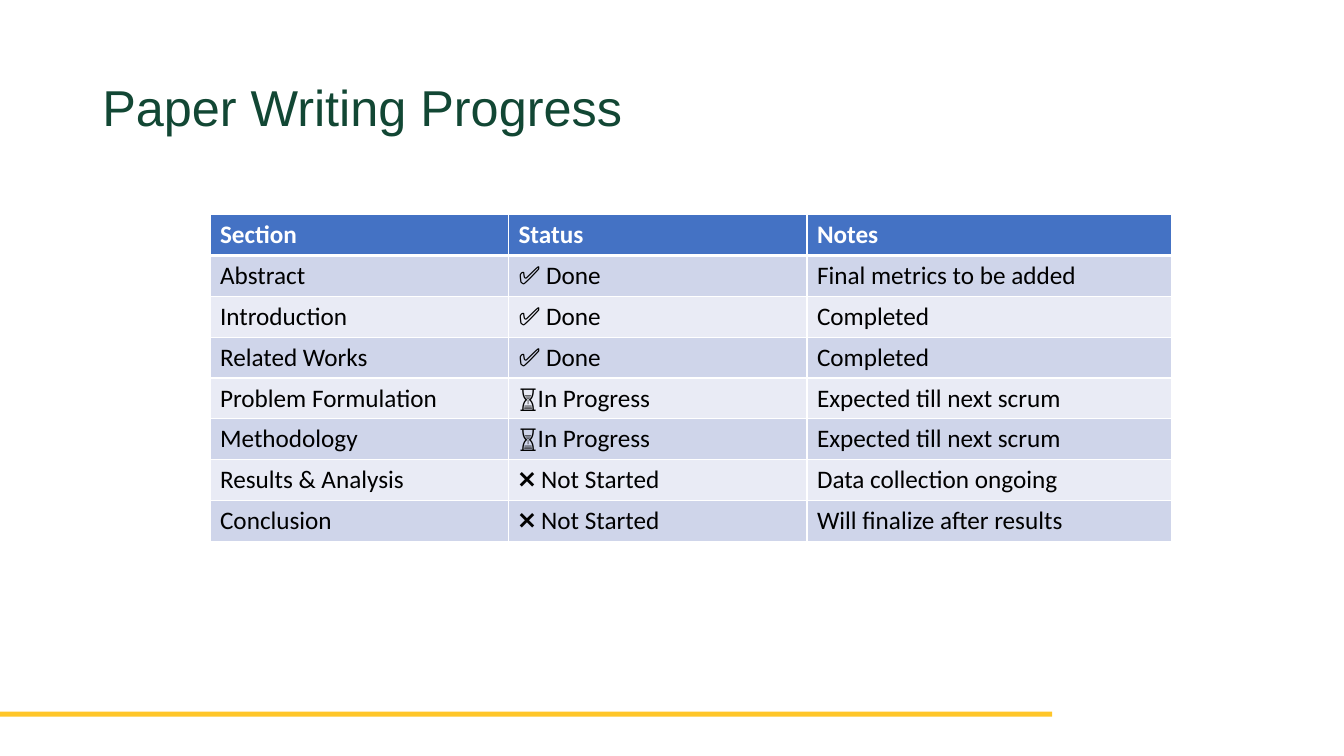
from lxml.etree import SubElement
from pptx import Presentation
from pptx.dml.color import RGBColor
from pptx.enum.shapes import MSO_SHAPE
from pptx.enum.text import MSO_ANCHOR
from pptx.oxml.ns import qn
from pptx.util import Pt

COLORS = {
    "title": "124734",
    "accent": "FFC629",
    "header": "4472C4",
    "odd_row": "CFD5EA",
    "even_row": "E9EBF5",
    "white": "FFFFFF",
    "black": "000000",
}
COLUMN_WIDTHS = [213.2, 213.2, 260.4]
ROW_HEIGHT = 29.2
PROGRESS = [
    ("Section", "Status", "Notes"),
    ("Abstract", "✅ Done", "Final metrics to be added"),
    ("Introduction", "✅ Done", "Completed"),
    ("Related Works", "✅ Done", "Completed"),
    ("Problem Formulation", "⏳In Progress", "Expected till next scrum"),
    ("Methodology", "⏳In Progress", "Expected till next scrum"),
    ("Results & Analysis", "❌ Not Started", "Data collection ongoing"),
    ("Conclusion", "❌ Not Started", "Will finalize after results"),
]


def color(name):
    return RGBColor.from_string(COLORS[name])


def set_font(para, face, size, color_name, bold=False):
    para.font.name = face
    para.font.size = Pt(size)
    para.font.bold = bold
    para.font.color.rgb = color(color_name)


def add_title(page, text):
    box = page.shapes.add_textbox(Pt(66), Pt(55.4), Pt(854.6), Pt(59))
    box.text_frame.word_wrap = True
    para = box.text_frame.paragraphs[0]
    para.text = text
    para.line_spacing = 0.9
    set_font(para, "Arial", 36, "title")


def add_footer_bar(page):
    bar = page.shapes.add_shape(MSO_SHAPE.RECTANGLE, 0, Pt(508.3), Pt(751.5), Pt(3.6))
    bar.shadow.inherit = False
    bar.fill.solid()
    bar.fill.fore_color.rgb = color("accent")
    bar.line.fill.background()


def set_borders(cell, top, bottom):
    properties = cell._tc.get_or_add_tcPr()
    for side, width in (("L", 1), ("R", 1), ("T", top), ("B", bottom)):
        line = SubElement(properties, qn(f"a:ln{side}"), w=str(Pt(width)))
        fill = SubElement(line, qn("a:solidFill"))
        SubElement(fill, qn("a:srgbClr"), val=COLORS["white"])


def fill_cell(cell, text, row):
    is_header = row == 0
    # The rule below the header is thicker than the others
    set_borders(cell, top=3 if row == 1 else 1, bottom=3 if is_header else 1)
    band = "header" if is_header else ("even_row", "odd_row")[row % 2]
    cell.fill.solid()
    cell.fill.fore_color.rgb = color(band)
    cell.vertical_anchor = MSO_ANCHOR.MIDDLE
    para = cell.text_frame.paragraphs[0]
    para.text = text
    set_font(para, "Calibri", 18, "white" if is_header else "black", is_header)


def add_progress_table(page, rows):
    frame = page.shapes.add_table(
        len(rows), len(COLUMN_WIDTHS), Pt(150), Pt(153.2),
        Pt(sum(COLUMN_WIDTHS)), Pt(ROW_HEIGHT * len(rows)))
    table = frame.table
    for column, width in zip(table.columns, COLUMN_WIDTHS):
        column.width = Pt(width)
    for row, texts in enumerate(rows):
        table.rows[row].height = Pt(ROW_HEIGHT)
        for column, text in enumerate(texts):
            fill_cell(table.cell(row, column), text, row)


def main():
    deck = Presentation()
    deck.slide_width, deck.slide_height = Pt(960), Pt(540)
    page = deck.slides.add_slide(deck.slide_layouts[6])
    add_footer_bar(page)
    add_title(page, "Paper Writing Progress")
    add_progress_table(page, PROGRESS)
    deck.save("out.pptx")


if __name__ == "__main__":
    main()
